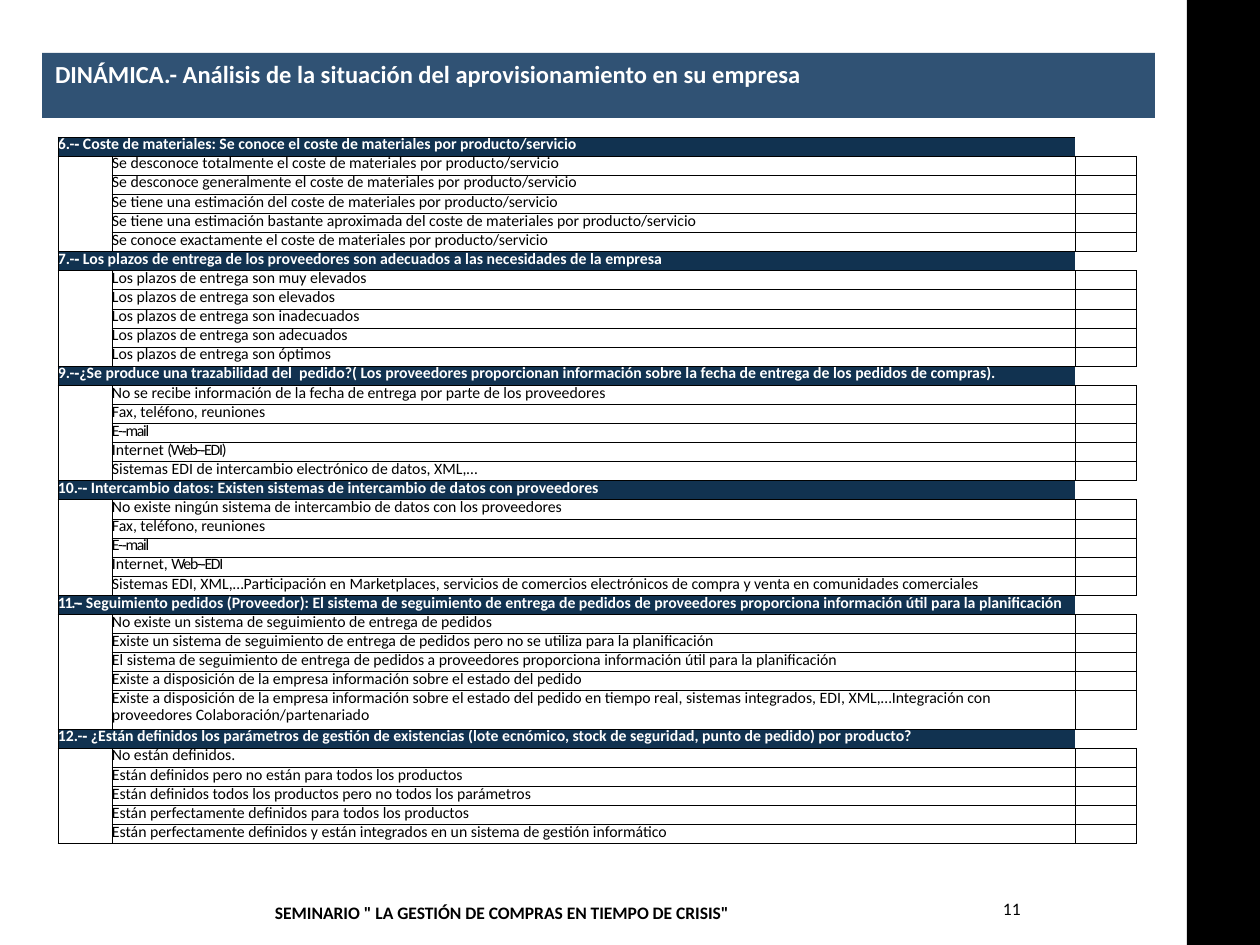
from dataclasses import dataclass

from lxml.etree import SubElement
from pptx import Presentation
from pptx.dml.color import RGBColor
from pptx.enum.shapes import MSO_SHAPE as Preset
from pptx.enum.text import MSO_ANCHOR as Anchor, PP_ALIGN as Align
from pptx.oxml.ns import qn
from pptx.util import Pt


@dataclass(frozen=True)
class Theme:
    """Colours, font and type sizes of the slide."""
    black: str = "000000"
    white: str = "FFFFFF"
    banner: str = "305274"
    heading: str = "113250"
    font: str = "Calibri"
    title_size: int = 14
    footer_size: int = 10
    table_size: int = 9
    empty_size: int = 8
    line_height: float = 9.7
    border_width: float = 0.5
    tight: int = -70


THEME = Theme()
COLUMNS = (54, 963, 62)
SIDES = {"left": "a:lnL", "right": "a:lnR", "top": "a:lnT", "bottom": "a:lnB"}
SECTIONS = (
    ("6.-‐ Coste de materiales: Se conoce el coste de materiales por producto/servicio", (
        "Se desconoce totalmente el coste de materiales por producto/servicio",
        "Se desconoce generalmente el coste de materiales por producto/servicio",
        "Se tiene una estimación del coste de materiales por producto/servicio",
        "Se tiene una estimación bastante aproximada del coste de materiales por producto/servicio",
        "Se conoce exactamente el coste de materiales por producto/servicio")),
    ("7.-‐ Los plazos de entrega de los proveedores son adecuados a las necesidades de la empresa", (
        "Los plazos de entrega son muy elevados",
        "Los plazos de entrega son elevados",
        "Los plazos de entrega son inadecuados",
        "Los plazos de entrega son adecuados",
        "Los plazos de entrega son óptimos")),
    ("9.-‐¿Se produce una trazabilidad del  pedido?( Los proveedores proporcionan información "
     "sobre la fecha de entrega de los pedidos de compras).", (
        "No se recibe información de la fecha de entrega por parte de los proveedores",
        "Fax, teléfono, reuniones",
        "|E-‐mail",
        "Internet |(Web-‐EDI)",
        "Sistemas EDI de intercambio electrónico de datos, XML,…")),
    ("10.-‐ Intercambio datos: Existen sistemas de intercambio de datos con proveedores", (
        "No existe ningún sistema de intercambio de datos con los proveedores",
        "Fax, teléfono, reuniones",
        "|E-‐mail",
        "Internet, |Web-‐EDI",
        "Sistemas EDI, XML,…Participación en Marketplaces, servicios de comercios electrónicos "
        "de compra y venta en comunidades comerciales")),
    ("|11.-‐| Seguimiento pedidos (Proveedor): El sistema de seguimiento de entrega de pedidos "
     "de proveedores proporciona información útil para la planiﬁcación", (
        "No existe un sistema de seguimiento de entrega de pedidos",
        "Existe un sistema de seguimiento de entrega de pedidos pero no se utiliza para la planificación",
        "El sistema de seguimiento de entrega de pedidos a proveedores proporciona información "
        "útil para la planificación",
        "Existe a disposición de la empresa información sobre el estado del pedido",
        "Existe a disposición de la empresa información sobre el estado del pedido en tiempo real, "
        "sistemas integrados, EDI, XML,…Integración con\nproveedores Colaboración/partenariado")),
    ("12.-‐ ¿Están deﬁnidos los parámetros de gestión de existencias (lote ecnómico, "
     "stock de seguridad, punto de pedido) por producto?", (
        "No están definidos.",
        "Están definidos pero no están para todos los productos",
        "Están definidos todos los productos pero no todos los parámetros",
        "Están perfectamente definidos para todos los productos",
        "Están perfectamente definidos y están integrados en un sistema de gestión informático")),
)


def px(length):
    """Turn pixels, 126 to the inch, into EMU."""
    return round(length * 914400 / 126)


def format_run(run, size, color, bold=False, spacing=0):
    """Set the typeface, colour and letter spacing of a run."""
    run.font.name = THEME.font
    run.font.size = Pt(size)
    run.font.bold = bold
    run.font.color.rgb = RGBColor.from_string(color)
    if spacing:
        run.font._element.set("spc", str(spacing))


def write_line(text_frame, text, size, color, bold=False):
    """Fill a frame without margins with one left-aligned line."""
    text_frame.text = text
    text_frame.word_wrap = True
    text_frame.vertical_anchor = Anchor.TOP
    text_frame.margin_left = text_frame.margin_right = 0
    text_frame.margin_top = text_frame.margin_bottom = 0
    paragraph = text_frame.paragraphs[0]
    paragraph.alignment = Align.LEFT
    format_run(paragraph.runs[0], size, color, bold)


def add_block(slide, box, color):
    """Draw a plain filled rectangle."""
    shape = slide.shapes.add_shape(Preset.RECTANGLE, *map(px, box))
    shape.shadow.inherit = False
    shape.fill.solid()
    shape.fill.fore_color.rgb = RGBColor.from_string(color)
    shape.line.fill.background()
    return shape


def add_banner(slide, box, title):
    """Draw the title band."""
    text_frame = add_block(slide, box, THEME.banner).text_frame
    write_line(text_frame, title, THEME.title_size, THEME.white, True)
    text_frame.margin_left = px(13)
    text_frame.margin_top = px(6)


def add_footer(slide, box, text, bold=False):
    """Place one line of footer text."""
    text_frame = slide.shapes.add_textbox(*map(px, box)).text_frame
    write_line(text_frame, text, THEME.footer_size, THEME.black, bold)


def set_borders(cell, visible):
    """Draw the named sides of a cell and hide the others."""
    properties = cell._tc.get_or_add_tcPr()
    for position, (side, tag) in enumerate(SIDES.items()):
        line = SubElement(properties, qn(tag), w=str(Pt(THEME.border_width)))
        properties.insert(position, line)
        if side in visible:
            fill = SubElement(line, qn("a:solidFill"))
            SubElement(fill, qn("a:srgbClr"), val=THEME.black)
        else:
            SubElement(line, qn("a:noFill"))


def fill_cell(cell, text="", heading=False, borders=tuple(SIDES)):
    """Write a cell, closing up the letters of every second part split by bars."""
    cell.margin_left = cell.margin_right = cell.margin_top = cell.margin_bottom = 0
    cell.text_frame.text = text.replace("|", "")
    for paragraph, line in zip(cell.text_frame.paragraphs, text.split("\n")):
        paragraph.line_spacing = Pt(THEME.line_height)
        paragraph.text = ""
        for index, part in enumerate(line.split("|")):
            if part:
                run = paragraph.add_run()
                run.text = part
                format_run(run, THEME.table_size, THEME.white if heading else THEME.black,
                           heading, THEME.tight if index % 2 else 0)
        SubElement(paragraph._p, qn("a:endParaRPr"), sz=str(THEME.empty_size * 100))
    if heading:
        cell.fill.solid()
        cell.fill.fore_color.rgb = RGBColor.from_string(THEME.heading)
    else:
        cell.fill.background()
    set_borders(cell, borders)


def add_section(table, first, heading, options):
    """Fill one question row and its answer rows."""
    title_cell = table.cell(first, 0)
    title_cell.merge(table.cell(first, 1))
    fill_cell(title_cell, heading, True, ("left", "top", "bottom"))
    fill_cell(table.cell(first, 1), borders=("top", "bottom"))
    fill_cell(table.cell(first, 2), borders=("top", "bottom") if first else ("bottom",))
    table.cell(first + 1, 0).merge(table.cell(first + len(options), 0))
    for row, option in enumerate(options, first + 1):
        for column, text in enumerate(("", option, "")):
            fill_cell(table.cell(row, column), text)


def add_questionnaire(slide, box, sections):
    """Build the table, giving each line of text an equal height."""
    line_counts = [text.count("\n") + 1 for heading, options in sections
                   for text in (heading, *options)]
    frame = slide.shapes.add_table(len(line_counts), len(COLUMNS), *map(px, box))
    table = frame.table
    table.first_row = table.horz_banding = False
    for column, width in zip(table.columns, COLUMNS):
        column.width = px(width)
    for row, lines in zip(table.rows, line_counts):
        row.height = px(box[3] * lines / sum(line_counts))
    first = 0
    for heading, options in sections:
        add_section(table, first, heading, options)
        first += len(options) + 1


def main():
    """Build and save the slide."""
    presentation = Presentation()
    presentation.slide_width, presentation.slide_height = px(1260), px(945)
    slide = presentation.slides.add_slide(presentation.slide_layouts[6])
    add_block(slide, (1187, 0, 73, 945), THEME.black)
    add_banner(slide, (42, 53, 1113, 65),
               "DINÁMICA.- Análisis de la situación del aprovisionamiento en su empresa")
    add_footer(slide, (1003, 898, 25, 24), "11")
    add_footer(slide, (275, 902, 570, 24),
               "SEMINARIO \" LA GESTIÓN DE COMPRAS EN TIEMPO DE CRISIS\"", True)
    add_questionnaire(slide, (58, 137, sum(COLUMNS), 708), SECTIONS)
    presentation.save("out.pptx")


if __name__ == "__main__":
    main()
